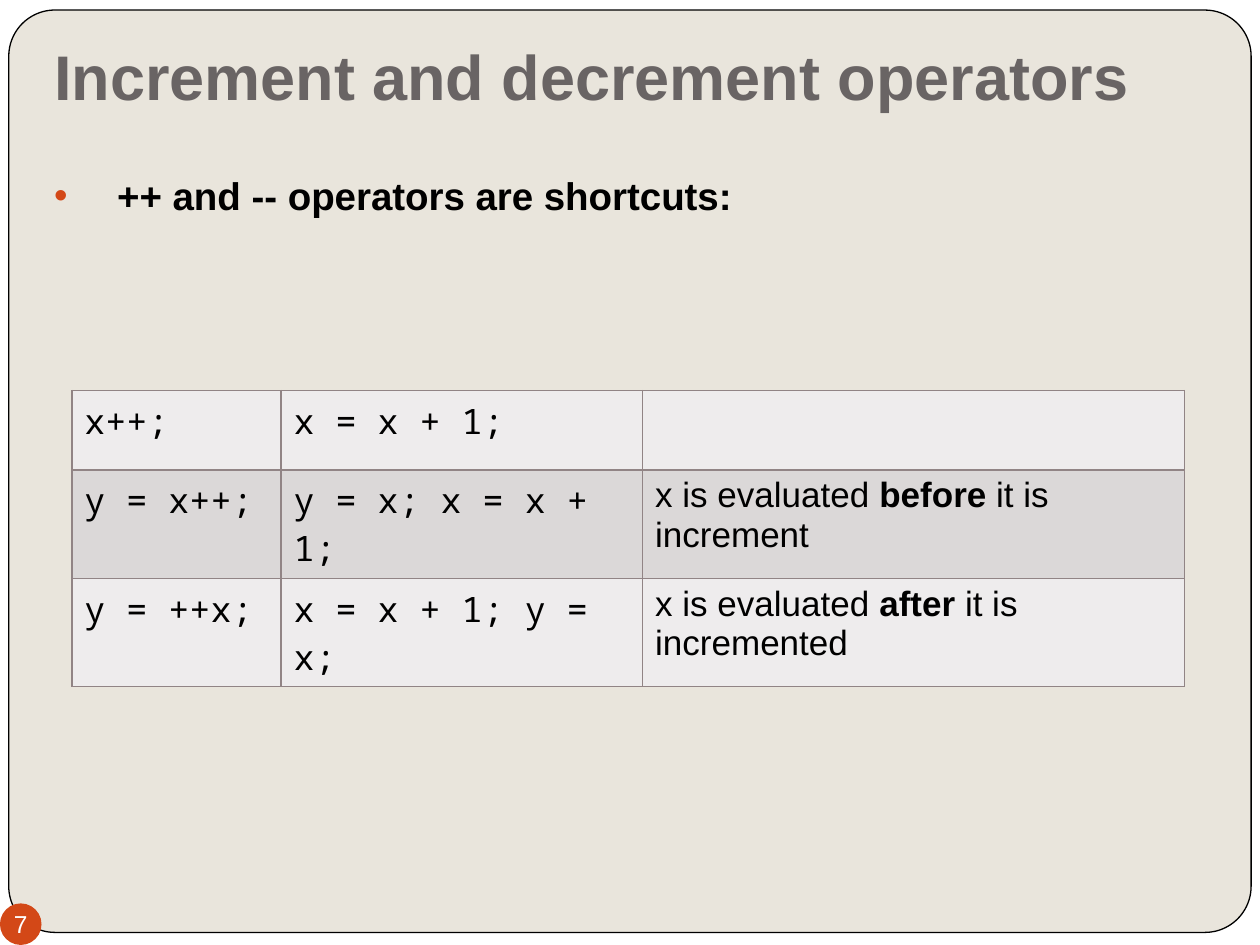
import pptx
import pptx.util
import pptx.dml.color
import pptx.enum.shapes
import pptx.enum.text
import pptx.oxml
import pptx.oxml.ns
from lxml import etree

Inches, Pt = pptx.util.Inches, pptx.util.Pt
SHAPE = pptx.enum.shapes.MSO_SHAPE
ALIGN = pptx.enum.text.PP_ALIGN
ANCHOR = pptx.enum.text.MSO_ANCHOR
qn = pptx.oxml.ns.qn

COLORS = {
    "paper": "E9E5DC", "white": "FFFFFF", "black": "000000", "title": "696464",
    "accent": "D34817", "light_row": "EEECED", "dark_row": "DBD8D8", "border": "918485",
}
SANS, MONO = "Arial", "Noto Sans Mono"

# Table content: each cell is a list of (text, bold) runs
OPERATORS = [
    [[("x++;", False)], [("x = x + 1;", False)], []],
    [[("y = x++;", False)], [("y = x; x = x + 1;", False)],
     [("x is evaluated ", False), ("before", True), (" it is increment", False)]],
    [[("y = ++x;", False)], [("x = x + 1; y = x;", False)],
     [("x is evaluated ", False), ("after", True), (" it is incremented", False)]],
]


def rgb(name):
    return pptx.dml.color.RGBColor.from_string(COLORS[name])


def set_attributes(target, values):
    for name, value in values.items():
        setattr(target, name, value)


def place(shape, box):
    set_attributes(shape, dict(zip(("left", "top", "width", "height"), map(Inches, box))))


def add_run(paragraph, text, size, color, font=SANS, bold=False):
    run = paragraph.add_run()
    run.text = text
    set_attributes(run.font, {"size": Pt(size), "name": font, "bold": bold})
    run.font.color.rgb = rgb(color)


def format_frame(frame, anchor, insets):
    sides = ("margin_left", "margin_top", "margin_right", "margin_bottom")
    set_attributes(frame, dict(zip(sides, map(Inches, insets))))
    set_attributes(frame, {"word_wrap": True, "vertical_anchor": anchor,
                           "auto_size": pptx.enum.text.MSO_AUTO_SIZE.NONE})


def add_panel(slide, preset, box, fill, line=None):
    panel = slide.shapes.add_shape(preset, *map(Inches, box))
    panel.shadow.inherit = False
    panel.fill.solid()
    panel.fill.fore_color.rgb = rgb(fill)
    if line:
        panel.line.color.rgb = rgb(line)
        panel.line.width = Pt(0.75)
    else:
        panel.line.fill.background()
    return panel


def add_backdrop(slide, box):
    left, top, width, height = box
    page = add_panel(slide, SHAPE.RECTANGLE, box, "white")
    card_box = (left + 0.07, top + 0.08, width - 0.14, height - 0.18)
    card = add_panel(slide, SHAPE.ROUNDED_RECTANGLE, card_box, "paper", "black")
    card.adjustments[0] = 0.05
    # Behind the placeholders
    tree = slide.shapes.element if hasattr(slide.shapes, "element") else page.element.getparent()
    for position, panel in enumerate((page, card), start=2):
        tree.insert(position, panel.element)


def add_title(slide, box):
    title = slide.shapes.title
    place(title, box)
    format_frame(title.text_frame, ANCHOR.BOTTOM, (0.1, 0.05, 0.1, 0.1))
    heading = title.text_frame.paragraphs[0]
    heading.alignment = ALIGN.LEFT
    add_run(heading, "Increment and decrement operators", 36, "title", bold=True)


def add_body(slide, box):
    body = slide.placeholders[1]
    place(body, box)
    format_frame(body.text_frame, ANCHOR.TOP, (0.1, 0.05, 0.1, 0.05))
    point = body.text_frame.paragraphs[0]
    set_attributes(point, {"line_spacing": 1.5, "space_before": Pt(0)})
    add_run(point, "++ and -- operators are shortcuts:", 22, "black", bold=True)
    # Hanging bullet in the accent colour
    properties = point._p.get_or_add_pPr()
    properties.set("marL", str(Inches(0.5)))
    properties.set("indent", str(Inches(-0.5)))
    bullet_color = etree.SubElement(properties, qn("a:buClr"))
    etree.SubElement(bullet_color, qn("a:srgbClr"), val=COLORS["accent"])
    etree.SubElement(properties, qn("a:buFont"), typeface=SANS)
    etree.SubElement(properties, qn("a:buChar"), char="•")


def add_page_number(slide, box):
    badge = add_panel(slide, SHAPE.OVAL, box, "accent")
    format_frame(badge.text_frame, ANCHOR.MIDDLE, (0, 0, 0, 0))
    badge.text_frame.word_wrap = False
    number = badge.text_frame.paragraphs[0]
    number.alignment = ALIGN.CENTER
    add_run(number, "7", 14, "white")


def add_borders(cell):
    properties = cell._tc.get_or_add_tcPr()
    for position, side in enumerate(("a:lnL", "a:lnR", "a:lnT", "a:lnB")):
        border = etree.Element(qn(side), w=str(Pt(1)))
        fill = etree.SubElement(border, qn("a:solidFill"))
        etree.SubElement(fill, qn("a:srgbClr"), val=COLORS["border"])
        properties.insert(position, border)


def add_operator_table(slide, box):
    table = slide.shapes.add_table(len(OPERATORS), 3, *map(Inches, box)).table
    set_attributes(table, {"first_row": False, "horz_banding": False})
    for column, width in zip(table.columns, (1.66, 2.87, 4.3)):
        column.width = Inches(width)
    for r, row in enumerate(OPERATORS):
        table.rows[r].height = Inches(0.63)
        for c, runs in enumerate(row):
            cell = table.cell(r, c)
            cell.fill.solid()
            cell.fill.fore_color.rgb = rgb("dark_row" if r % 2 else "light_row")
            add_borders(cell)
            for text, bold in runs:
                add_run(cell.text_frame.paragraphs[0], text, 20, "black",
                        SANS if c == 2 else MONO, bold)


def main():
    deck = pptx.Presentation()
    set_attributes(deck, {"slide_width": Inches(10), "slide_height": Inches(7.5)})
    slide = deck.slides.add_slide(deck.slide_layouts[1])
    slide.background.fill.solid()
    slide.background.fill.fore_color.rgb = rgb("paper")

    add_backdrop(slide, (0, 0, 10, 7.5))
    add_title(slide, (0.33, 0.3, 9.33, 0.7))
    add_page_number(slide, (0, 7.17, 0.33, 0.33))
    add_body(slide, (0.33, 1.13, 9.33, 1.71))
    add_operator_table(slide, (0.57, 3.1, 8.83, 1.89))
    deck.save("out.pptx")


if __name__ == "__main__":
    main()
